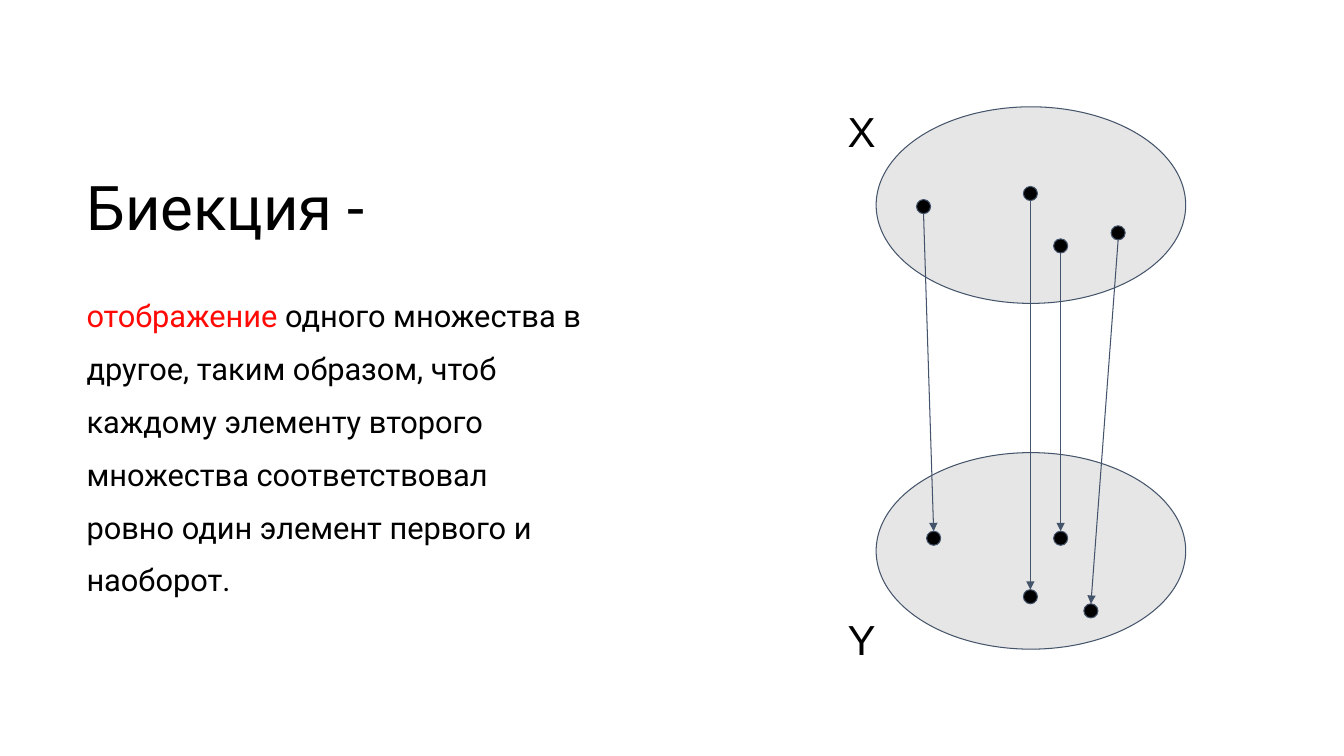
from dataclasses import dataclass

from lxml import etree
from pptx import Presentation
from pptx.dml.color import RGBColor
from pptx.enum.shapes import MSO_CONNECTOR, MSO_SHAPE
from pptx.enum.text import MSO_ANCHOR
from pptx.oxml.ns import qn
from pptx.slide import Slide
from pptx.util import Inches, Pt

OVAL = MSO_SHAPE.OVAL
STRAIGHT = MSO_CONNECTOR.STRAIGHT
TOP, BOTTOM = MSO_ANCHOR.TOP, MSO_ANCHOR.BOTTOM

BLACK, RED, GRAY, NAVY = "000000", "FF0A05", "E7E6E6", "44546A"
DOT_SIZE = 0.14
LINE_WIDTH = 0.75


@dataclass
class Run:
    text: str
    color: str = BLACK


@dataclass
class TextBlock:
    runs: list[Run]
    left: float
    top: float
    width: float
    height: float
    font: str
    size: float
    anchor: MSO_ANCHOR = TOP
    line_spacing: float = 1.0
    vertical_inset: float = 0.05


@dataclass
class Mapping:
    """Centres of an element of X and of its match in Y."""
    start_x: float
    start_y: float
    end_x: float
    end_y: float


TEXT_BLOCKS = [
    TextBlock([Run("Биекция -")], 0.76, 0.72, 5.12, 1.75, "Roboto", 44, BOTTOM, 0.9),
    TextBlock(
        [
            Run("отображение ", RED),
            Run("одного множества в другое, таким образом, чтоб каждому элементу "
                "второго множества соответствовал ровно один элемент первого и наоборот."),
        ],
        0.76, 2.74, 5.12, 3.74, "Roboto", 22, line_spacing=1.43,
    ),
    TextBlock([Run("X")], 8.31, 0.95, 0.64, 0.7, "Arial", 30, vertical_inset=0.1),
    TextBlock([Run("Y")], 8.31, 5.99, 0.64, 0.7, "Arial", 30, vertical_inset=0.1),
]
SET_TOPS = [1.06, 4.49]
MAPPINGS = [
    Mapping(9.16, 2.05, 9.26, 5.34),
    Mapping(10.22, 1.92, 10.22, 5.92),
    Mapping(11.09, 2.31, 10.82, 6.06),
    Mapping(10.52, 2.44, 10.52, 5.34),
]


def color(value: str) -> RGBColor:
    return RGBColor.from_string(value)


def add_text(slide: Slide, block: TextBlock) -> None:
    shape = slide.shapes.add_textbox(
        Inches(block.left), Inches(block.top), Inches(block.width), Inches(block.height))
    frame = shape.text_frame
    frame.word_wrap = True
    frame.vertical_anchor = block.anchor
    frame.margin_top = frame.margin_bottom = Inches(block.vertical_inset)
    paragraph = frame.paragraphs[0]
    paragraph.line_spacing = block.line_spacing
    paragraph.font.name = block.font
    paragraph.font.size = Pt(block.size)
    for part in block.runs:
        run = paragraph.add_run()
        run.text = part.text
        run.font.color.rgb = color(part.color)


def add_oval(slide: Slide, left: float, top: float, width: float, height: float,
             fill: str) -> None:
    shape = slide.shapes.add_shape(
        OVAL, Inches(left), Inches(top), Inches(width), Inches(height))
    shape.shadow.inherit = False
    shape.fill.solid()
    shape.fill.fore_color.rgb = color(fill)
    shape.line.color.rgb = color(NAVY)
    shape.line.width = Pt(LINE_WIDTH)


def add_dot(slide: Slide, center_x: float, center_y: float) -> None:
    radius = DOT_SIZE / 2
    add_oval(slide, center_x - radius, center_y - radius, DOT_SIZE, DOT_SIZE, BLACK)


def add_mapping(slide: Slide, mapping: Mapping) -> None:
    add_dot(slide, mapping.start_x, mapping.start_y)
    add_dot(slide, mapping.end_x, mapping.end_y)
    # The arrow runs from the bottom of one dot to the top of the other
    radius = DOT_SIZE / 2
    arrow = slide.shapes.add_connector(
        STRAIGHT,
        Inches(mapping.start_x), Inches(mapping.start_y + radius),
        Inches(mapping.end_x), Inches(mapping.end_y - radius))
    arrow.line.color.rgb = color(NAVY)
    arrow.line.width = Pt(LINE_WIDTH)
    etree.SubElement(arrow.line._get_or_add_ln(), qn("a:tailEnd"), type="triangle")
    etree.SubElement(arrow._element.spPr, qn("a:effectLst"))


def main() -> None:
    presentation = Presentation()
    presentation.slide_width = Inches(13.33)
    presentation.slide_height = Inches(7.5)
    slide = presentation.slides.add_slide(presentation.slide_layouts[6])

    # Sets X and Y
    for top in SET_TOPS:
        add_oval(slide, 8.69, top, 3.07, 1.95, GRAY)

    # Elements and arrows between them
    for mapping in MAPPINGS:
        add_mapping(slide, mapping)

    # Title, definition and set names
    for block in TEXT_BLOCKS:
        add_text(slide, block)

    presentation.save("out.pptx")


if __name__ == "__main__":
    main()
